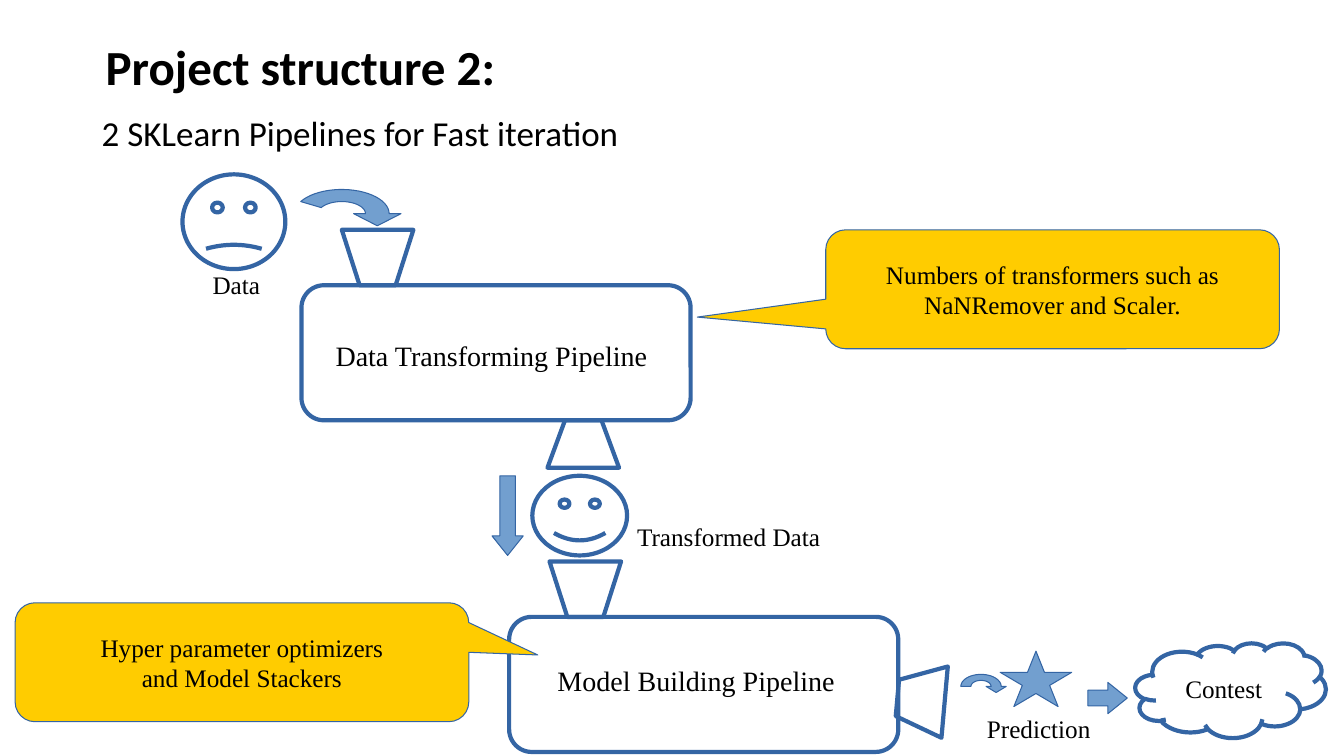
from math import cos, pi, sin

from pptx import Presentation
from pptx.dml.color import RGBColor
from pptx.enum.shapes import MSO_SHAPE as Kind
from pptx.enum.text import MSO_ANCHOR as Anchor, MSO_AUTO_SIZE as Fit, PP_ALIGN as Align
from pptx.util import Pt

PX = 9144
COLORS = {"ink": "000000", "line": "3465A4", "arrow": "729FCF", "note": "FFCC00"}
SERIF, SANS = "Times New Roman", "Calibri"


def color(name):
    return RGBColor.from_string(COLORS[name])


def paint(shape, fill=None):
    """Thick outline for an empty shape, hairline for a filled one."""
    shape.shadow.inherit = False
    if fill:
        shape.fill.solid()
        shape.fill.fore_color.rgb = color(fill)
    else:
        shape.fill.background()
    shape.line.color.rgb = color("line")
    shape.line.width = Pt(0 if fill else 3)
    return shape


def draw(shapes, kind, box, fill=None, adj=(), turn=0):
    shape = paint(shapes.add_shape(kind, *(n * PX for n in box)), fill)
    for i, value in enumerate(adj):
        shape.adjustments[i] = value
    shape.rotation = turn
    return shape


def write(shape, lines, size, font=SERIF, bold=False, align=None, wrap=False):
    frame = shape.text_frame
    frame.word_wrap = wrap
    frame.text = "\n".join(lines)
    for para in frame.paragraphs:
        para.alignment = align
        para.font.name = font
        para.font.size = Pt(size)
        para.font.bold = bold
        para.font.color.rgb = color("ink")


def label(shapes, text, box, size=18, **style):
    item = shapes.add_textbox(*(n * PX for n in box))
    write(item, [text], size, **style)
    item.text_frame.auto_size = Fit.SHAPE_TO_FIT_TEXT


def center(shape, lines):
    write(shape, lines, 18, align=Align.CENTER)
    shape.text_frame.vertical_anchor = Anchor.MIDDLE


def arc(shapes, x, y, rx, ry, start):
    """Bent arrow round the point x, y, from the start angle down to the right."""
    steps = 24
    angles = [start * pi / 180 * i / steps for i in range(steps + 1)]
    outer = [(x + rx * cos(a), y - ry * sin(a)) for a in reversed(angles)]
    inner = [(x + rx / 2 * cos(a), y - ry / 2 * sin(a)) for a in angles]
    head = [(x + rx * 1.25, y), (x + rx * 0.75, y + ry / 2), (x + rx * 0.25, y)]
    points = [(round(a * PX), round(b * PX)) for a, b in outer + head + inner]
    pen = shapes.build_freeform(*points[0])
    pen.add_line_segments(points[1:], close=True)
    paint(pen.convert_to_shape(), "arrow")


def heading(shapes, x, y):
    label(shapes, "Project structure 2:", (x + 4, y, 407, 68), 35, font=SANS, bold=True)
    label(shapes, "2 SKLearn Pipelines for Fast iteration", (x, y + 75, 532, 52), 25, font=SANS)


def pipeline(shapes, x, y, text, inset, outlet, turn=0):
    """Rounded tank with a funnel on top; inset and outlet are offsets from its corner."""
    parts = shapes.add_group_shape().shapes
    draw(parts, Kind.ROUNDED_RECTANGLE, (x, y, 386, 134), adj=[0.167])
    draw(parts, Kind.TRAPEZOID, (x + 40, y - 55, 71, 55), adj=[0.32], turn=180)
    dx, dy = outlet
    draw(parts, Kind.TRAPEZOID, (x + dx, y + dy, 71, 47), adj=[0.37], turn=turn)
    dx, dy, width = inset
    label(shapes, text, (x + dx, y + dy, width, 72), 20, wrap=True)


def raw(shapes, x, y):
    """Sad face that drops into the first pipeline."""
    draw(shapes, Kind.SMILEY_FACE, (x, y, 102, 94), adj=[-0.021])
    arc(shapes, x + 158, y + 39, 47, 24, 150)
    label(shapes, "Data", (x + 20, y + 89, 67, 38))


def clean(shapes, x, y):
    """Happy face between the two pipelines."""
    draw(shapes, Kind.SMILEY_FACE, (x + 40, y, 94, 79), adj=[0.093])
    draw(shapes, Kind.DOWN_ARROW, (x, y, 31, 79), "arrow", [0.5, 0.625])
    label(shapes, "Transformed Data", (x + 134, y + 40, 202, 38))


def result(shapes, x, y):
    """Prediction star and the cloud it is sent to."""
    arc(shapes, x + 20, y + 43, 20, 12, 180)
    draw(shapes, Kind.STAR_5_POINT, (x + 39, y + 8, 71, 55), "arrow")
    label(shapes, "Prediction", (x + 16, y + 65, 123, 38))
    draw(shapes, Kind.RIGHT_ARROW, (x + 126, y + 39, 39, 31), "arrow", [0.5, 0.62])
    center(draw(shapes, Kind.CLOUD, (x + 173, y, 189, 94)), ["Contest"])


def callout(shapes, x, y, lines, tip):
    box = (x, y, 450, 118)
    center(draw(shapes, Kind.ROUNDED_RECTANGULAR_CALLOUT, box, "note", [*tip, 0.167]), lines)


def main():
    deck = Presentation()
    deck.slide_width, deck.slide_height = 1333 * PX, 750 * PX
    shapes = deck.slides.add_slide(deck.slide_layouts[6]).shapes
    heading(shapes, 91, 31)
    pipeline(shapes, 299, 283, "Data Transforming Pipeline", (24, 48, 346), (244, 134))
    pipeline(shapes, 505, 612, "Model Building Pipeline", (38, 41, 315), (373, 59), 275.1)
    raw(shapes, 181, 173)
    clean(shapes, 488, 472)
    result(shapes, 953, 638)
    callout(shapes, 819, 228,
            ["Numbers of transformers such as", "NaNRemover and Scaler."], (-0.783, 0.234))
    callout(shapes, 15, 598,
            ["Hyper parameter optimizers", "and Model Stackers"], (0.652, -0.061))
    deck.save("out.pptx")


if __name__ == "__main__":
    main()
